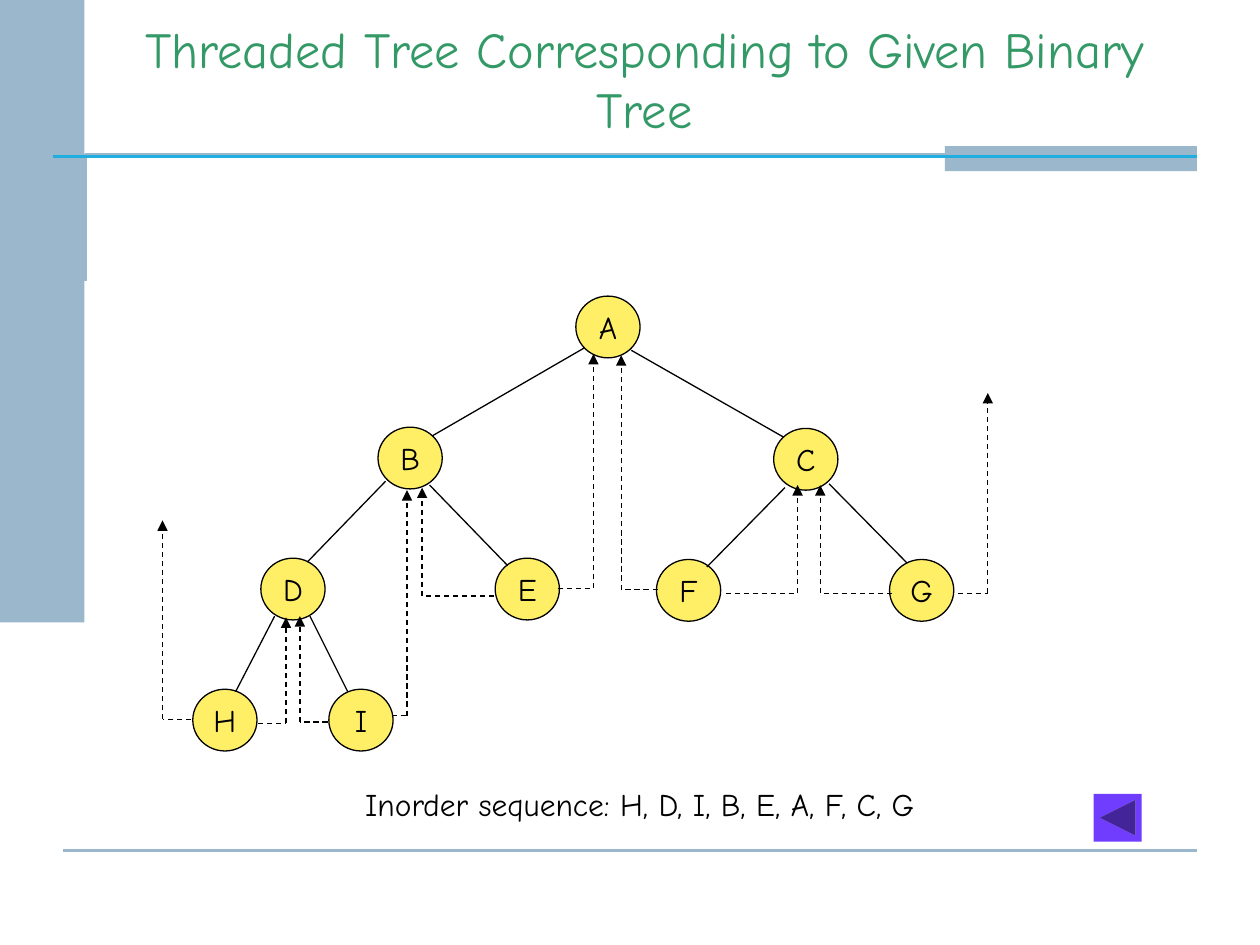
from lxml.etree import SubElement
from pptx import Presentation
from pptx.dml.color import RGBColor
from pptx.enum.dml import MSO_LINE
from pptx.enum.shapes import MSO_CONNECTOR, MSO_SHAPE
from pptx.enum.text import MSO_ANCHOR, MSO_AUTO_SIZE, PP_ALIGN
from pptx.oxml.ns import qn
from pptx.util import Inches, Pt

FONT = "Comic Neue"
BLACK, BAND, ACCENT = "000000", "9AB7CC", "20AEE0"
GREEN, YELLOW, PURPLE = "339966", "FFEF66", "703DFF"
NODE_WIDTH, NODE_HEIGHT = 0.51, 0.49

NODES = {
    "A": (4.57, 2.35),
    "B": (3, 3.39), "C": (6.14, 3.4),
    "D": (2.07, 4.43), "E": (3.93, 4.43), "F": (5.21, 4.44), "G": (7.06, 4.44),
    "H": (1.53, 5.47), "I": (2.61, 5.47),
}
EDGES = [
    ((4.64, 2.76), (3.43, 3.46)), ((5.01, 2.78), (6.22, 3.47)),
    ((3.06, 3.82), (2.44, 4.46)), ((3.41, 3.85), (4.03, 4.49)),
    ((6.23, 3.87), (5.61, 4.5)), ((6.58, 3.84), (7.2, 4.47)),
    ((2.18, 4.89), (1.87, 5.49)), ((2.46, 4.89), (2.76, 5.49)),
]
THREADS = [
    ((1.52, 5.71), (1.29, 4.13)), ((2.05, 5.74), (2.27, 4.9)),
    ((2.6, 5.73), (2.38, 4.89)), ((3.11, 5.68), (3.23, 3.89)),
    ((3.92, 4.73), (3.35, 3.87)), ((4.43, 4.67), (4.71, 2.81)),
    ((5.22, 4.68), (4.93, 2.82)), ((5.76, 4.71), (6.33, 3.85)),
    ((7.08, 4.71), (6.51, 3.85)), ((7.6, 4.71), (7.84, 3.12)),
]


def color(value):
    return RGBColor.from_string(value)


class SlideBuilder:
    """Holds the text style and the current slide, and draws each kind of element."""

    def __init__(self, slide, font=FONT):
        self.slide = slide
        self.shapes = slide.shapes
        self.font = font

    def add_text(self, frame, text, size, fill, align):
        paragraph = frame.paragraphs[0]
        paragraph.alignment = align
        run = paragraph.add_run()
        run.text = text
        run.font.name = self.font
        run.font.size = Pt(size)
        run.font.color.rgb = color(fill)

    def title(self, text, left, top, width, height):
        title = self.shapes.title
        title.left, title.top = Inches(left), Inches(top)
        title.width, title.height = Inches(width), Inches(height)
        frame = title.text_frame
        frame.word_wrap = True
        frame.auto_size = MSO_AUTO_SIZE.NONE
        frame.vertical_anchor = MSO_ANCHOR.BOTTOM
        self.add_text(frame, text, 28.8, GREEN, PP_ALIGN.CENTER)

    def shape(self, kind, left, top, width, height, fill):
        shape = self.shapes.add_shape(
            kind, Inches(left), Inches(top), Inches(width), Inches(height))
        shape.shadow.inherit = False
        shape.fill.solid()
        shape.fill.fore_color.rgb = color(fill)
        shape.line.fill.background()
        return shape

    def node(self, label, left, top):
        node = self.shape(MSO_SHAPE.OVAL, left, top, NODE_WIDTH, NODE_HEIGHT, YELLOW)
        node.line.color.rgb = color(BLACK)
        node.line.width = Pt(0.75)
        frame = node.text_frame
        frame.word_wrap = False
        frame.vertical_anchor = MSO_ANCHOR.MIDDLE
        self.add_text(frame, label, 18, BLACK, PP_ALIGN.CENTER)

    def line(self, start, end, stroke=BLACK, width=0.75, dashed=False, arrow=False):
        points = [Inches(value) for value in (*start, *end)]
        connector = self.shapes.add_connector(MSO_CONNECTOR.STRAIGHT, *points)
        connector.line.color.rgb = color(stroke)
        connector.line.width = Pt(width)
        if dashed:
            connector.line.dash_style = MSO_LINE.DASH
        properties = connector.element.spPr
        if arrow:
            SubElement(properties.find(qn("a:ln")), qn("a:tailEnd"), type="triangle")
        SubElement(properties, qn("a:effectLst"))

    def thread(self, start, tip):
        corner = (tip[0], start[1])
        self.line(start, corner, dashed=True)
        self.line(corner, tip, dashed=True, arrow=True)

    def outline(self, points, stroke, width):
        (left, top), *rest = [(Inches(x), Inches(y)) for x, y in points]
        builder = self.shapes.build_freeform(left, top)
        builder.add_line_segments(rest, close=False)
        shape = builder.convert_to_shape()
        shape.shadow.inherit = False
        shape.fill.background()
        shape.line.color.rgb = color(stroke)
        shape.line.width = Pt(width)

    def caption(self, text, left, top, width, height):
        box = self.shapes.add_textbox(
            Inches(left), Inches(top), Inches(width), Inches(height))
        box.text_frame.word_wrap = True
        self.add_text(box.text_frame, text, 18, BLACK, PP_ALIGN.LEFT)


def main():
    presentation = Presentation()
    presentation.slide_width, presentation.slide_height = Inches(10), Inches(7.5)
    layout = presentation.slide_layouts.get_by_name("Title Only")
    builder = SlideBuilder(presentation.slides.add_slide(layout))

    builder.outline([(0.68, 2.23), (0.68, 1.23), (9.35, 1.23)], BAND, 2)
    builder.line((0.5, 6.75), (9.5, 6.75), BAND, 1.5)
    builder.shape(MSO_SHAPE.RECTANGLE, 0, 0, 0.67, 4.94, BAND)
    builder.shape(MSO_SHAPE.RECTANGLE, 7.5, 1.16, 2, 0.2, BAND)
    builder.line((0.42, 1.24), (9.5, 1.24), ACCENT, 1.5)
    builder.title("Threaded Tree Corresponding to Given Binary Tree", 0.75, 0.38, 8.73, 0.77)

    for label, (left, top) in NODES.items():
        builder.node(label, left, top)
    for start, end in EDGES:
        builder.line(start, end)
    for start, tip in THREADS:
        builder.thread(start, tip)

    builder.shape(MSO_SHAPE.ACTION_BUTTON_BACK_OR_PREVIOUS, 8.68, 6.3, 0.38, 0.38, PURPLE)
    builder.caption("Inorder sequence: H, D, I, B, E, A, F, C, G", 2.8, 6.18, 5.16, 0.4)
    presentation.save("out.pptx")


if __name__ == "__main__":
    main()
